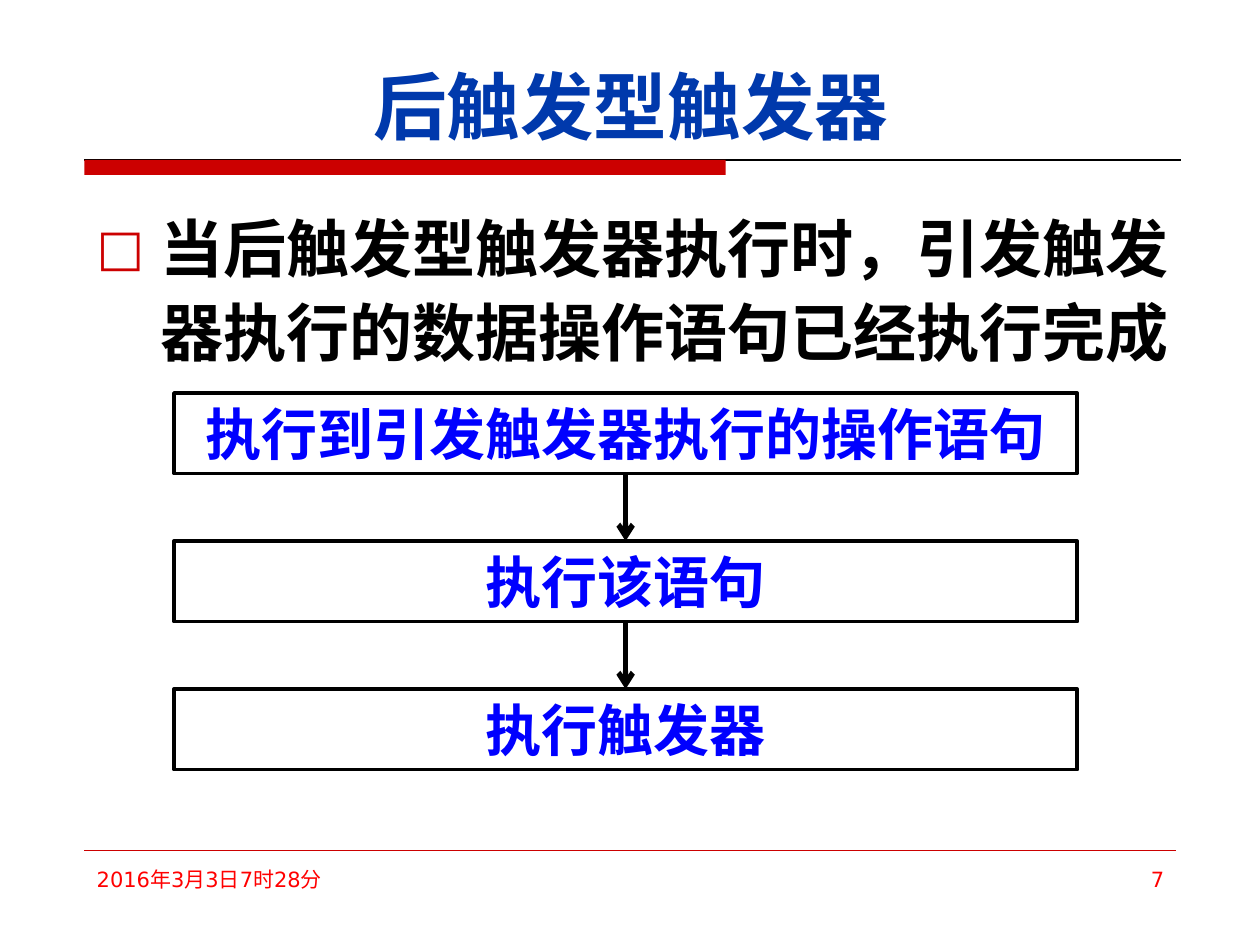
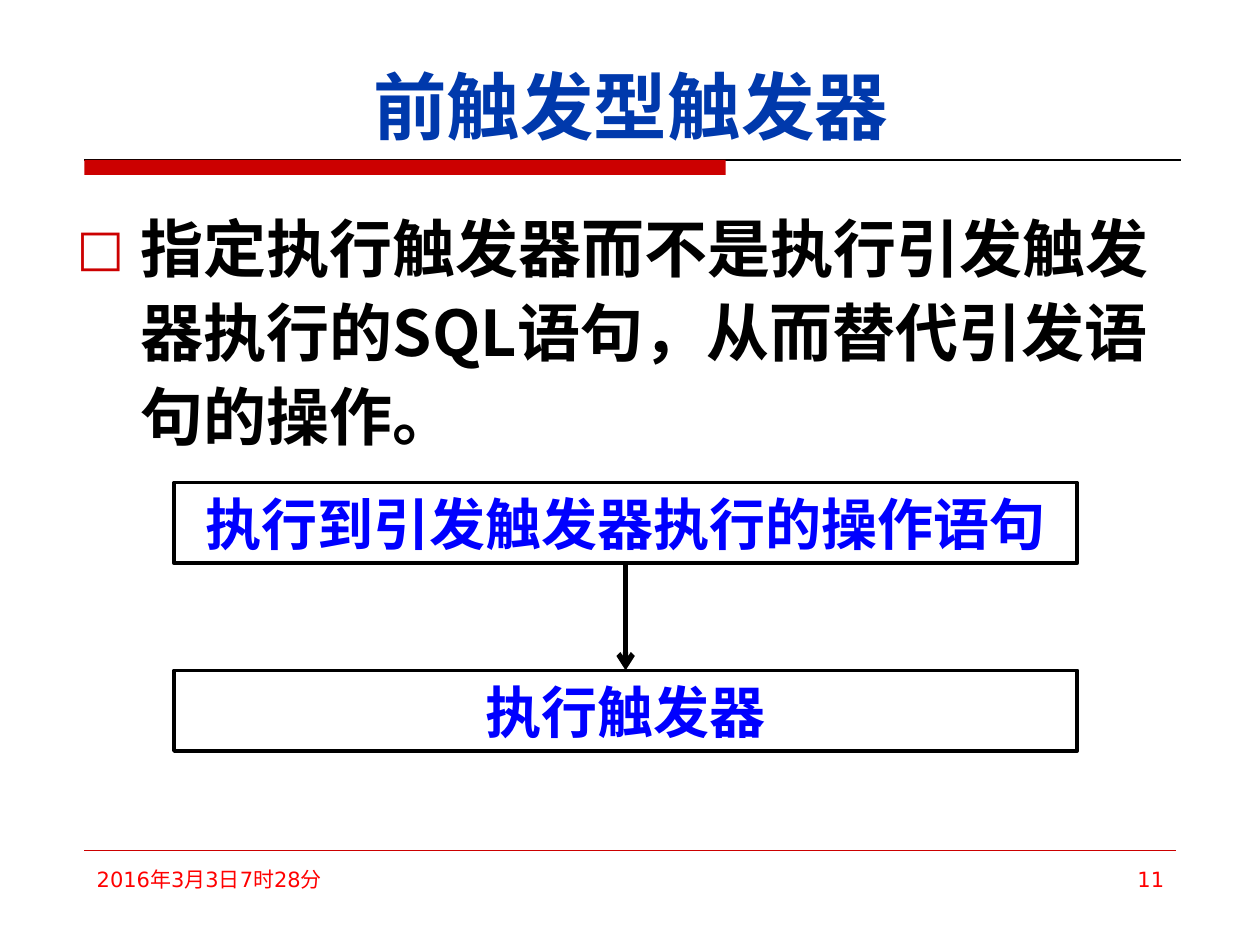
from dataclasses import dataclass

from lxml import etree
from pptx import Presentation
from pptx.dml.color import RGBColor
from pptx.enum.shapes import MSO_CONNECTOR, MSO_SHAPE
from pptx.enum.text import MSO_ANCHOR, MSO_AUTO_SIZE, PP_ALIGN
from pptx.oxml.ns import qn
from pptx.util import Pt

STRAIGHT = MSO_CONNECTOR.STRAIGHT
RECTANGLE = MSO_SHAPE.RECTANGLE
LEFT, CENTER, RIGHT = PP_ALIGN.LEFT, PP_ALIGN.CENTER, PP_ALIGN.RIGHT
BOTTOM, MIDDLE = MSO_ANCHOR.BOTTOM, MSO_ANCHOR.MIDDLE
NO_AUTOFIT = MSO_AUTO_SIZE.NONE


@dataclass(frozen=True)
class Theme:
    title_color: RGBColor = RGBColor(0x00, 0x39, 0xAC)
    accent: RGBColor = RGBColor(0xCC, 0x00, 0x00)
    ink: RGBColor = RGBColor(0x00, 0x00, 0x00)
    step_color: RGBColor = RGBColor(0x00, 0x00, 0xFF)
    footer_color: RGBColor = RGBColor(0xFF, 0x00, 0x00)
    main_font: str = "Noto Sans CJK SC"
    footer_font: str = "DejaVu Sans"
    title_size: int = 42
    body_size: int = 36
    step_size: int = 32
    footer_size: int = 12


theme = Theme()


def write_text(shape, text, size, color, alignment=LEFT, font=theme.main_font, bold=True):
    text_frame = shape.text_frame
    text_frame.auto_size = NO_AUTOFIT
    text_frame.word_wrap = True
    text_frame.text = text
    paragraph = text_frame.paragraphs[0]
    paragraph.alignment = alignment
    for run in paragraph.runs:
        run.font.size = Pt(size)
        run.font.bold = bold
        run.font.color.rgb = color
        run.font.name = font
        east_asian = etree.SubElement(run.font._element, qn("a:ea"))
        east_asian.set("typeface", theme.main_font)
    return paragraph


def add_line(slide, start_x, start_y, end_x, end_y, color, width):
    line = slide.shapes.add_connector(
        STRAIGHT, Pt(start_x), Pt(start_y), Pt(end_x), Pt(end_y))
    line.line.color.rgb = color
    line.line.width = Pt(width)
    etree.SubElement(line._element.spPr, qn("a:effectLst"))
    return line


FIRST_STEP = "执行到引发触发器执行的操作语句"
LAST_STEP = "执行触发器"
STEP_LEFT, STEP_WIDTH, STEP_HEIGHT = 99.4, 516.2, 46.1
STEP_CENTER = STEP_LEFT + STEP_WIDTH / 2
BODY_INDENT = 36.7

slides = [
    {
        "title": "后触发型触发器",
        "body": "当后触发型触发器执行时，引发触发器执行的数据操作语句已经执行完成",
        "body_box": (48.2, 111.6, 630, 118.8),
        "steps": [FIRST_STEP, "执行该语句", LAST_STEP],
        "first_top": 224.6,
        "pitch": 84.6,
        "number": "7",
    },
    {
        "title": "前触发型触发器",
        "body": "指定执行触发器而不是执行引发触发器执行的SQL语句，从而替代引发语句的操作。",
        "body_box": (36.7, 111.6, 646.6, 147.6),
        "steps": [FIRST_STEP, LAST_STEP],
        "first_top": 275.8,
        "pitch": 107.3,
        "number": "11",
    },
]

presentation = Presentation()
presentation.slide_width = Pt(720)
presentation.slide_height = Pt(540)

for content in slides:
    slide = presentation.slides.add_slide(presentation.slide_layouts[5])

    add_line(slide, 48.2, 91.4, 674.6, 91.4, theme.ink, 0.75)
    band = slide.shapes.add_shape(RECTANGLE, Pt(48.2), Pt(91.4), Pt(366.5), Pt(8.6))
    band.shadow.inherit = False
    band.fill.solid()
    band.fill.fore_color.rgb = theme.accent
    band.line.fill.background()
    add_line(slide, 48.2, 486, 671.8, 486, theme.accent, 0.25)

    title = slide.shapes.title
    title.left, title.top, title.width, title.height = Pt(45.4), Pt(23.8), Pt(630), Pt(64.8)
    title.text_frame.vertical_anchor = BOTTOM
    write_text(title, content["title"], theme.title_size, theme.title_color, CENTER)

    body = slide.shapes.add_textbox(*map(Pt, content["body_box"]))
    paragraph = write_text(body, content["body"], theme.body_size, theme.ink)
    properties = paragraph._p.get_or_add_pPr()
    properties.set("marL", str(Pt(BODY_INDENT)))
    properties.set("indent", str(-Pt(BODY_INDENT)))
    bullet_color = etree.SubElement(properties, qn("a:buClr"))
    etree.SubElement(bullet_color, qn("a:srgbClr")).set("val", str(theme.accent))
    etree.SubElement(properties, qn("a:buSzPct")).set("val", "80000")
    etree.SubElement(properties, qn("a:buFont")).set("typeface", theme.footer_font)
    etree.SubElement(properties, qn("a:buChar")).set("char", "□")
    paragraph.line_spacing = Pt(48)

    for text, left, width, alignment in (
        ("2016年3月3日7时28分", 48.2, 159.1, LEFT),
        (content["number"], 516.2, 156.2, RIGHT),
    ):
        footer = slide.shapes.add_textbox(Pt(left), Pt(491.8), Pt(width), Pt(37.4))
        write_text(footer, text, theme.footer_size, theme.footer_color,
                   alignment, theme.footer_font, False)

    previous_step = None
    for index, text in enumerate(content["steps"]):
        top = content["first_top"] + index * content["pitch"]
        step = slide.shapes.add_shape(
            RECTANGLE, Pt(STEP_LEFT), Pt(top), Pt(STEP_WIDTH), Pt(STEP_HEIGHT))
        step.shadow.inherit = False
        step.fill.background()
        step.line.color.rgb = theme.ink
        step.line.width = Pt(2)
        step.text_frame.vertical_anchor = MIDDLE
        write_text(step, text, theme.step_size, theme.step_color, CENTER)
        if previous_step is not None:
            gap_top = top - content["pitch"] + STEP_HEIGHT
            arrow = add_line(slide, STEP_CENTER, gap_top, STEP_CENTER, top, theme.ink, 3)
            arrow.begin_connect(previous_step, 2)
            arrow.end_connect(step, 0)
            etree.SubElement(arrow.line._get_or_add_ln(), qn("a:tailEnd")).set("type", "arrow")
        previous_step = step

presentation.save("out.pptx")
